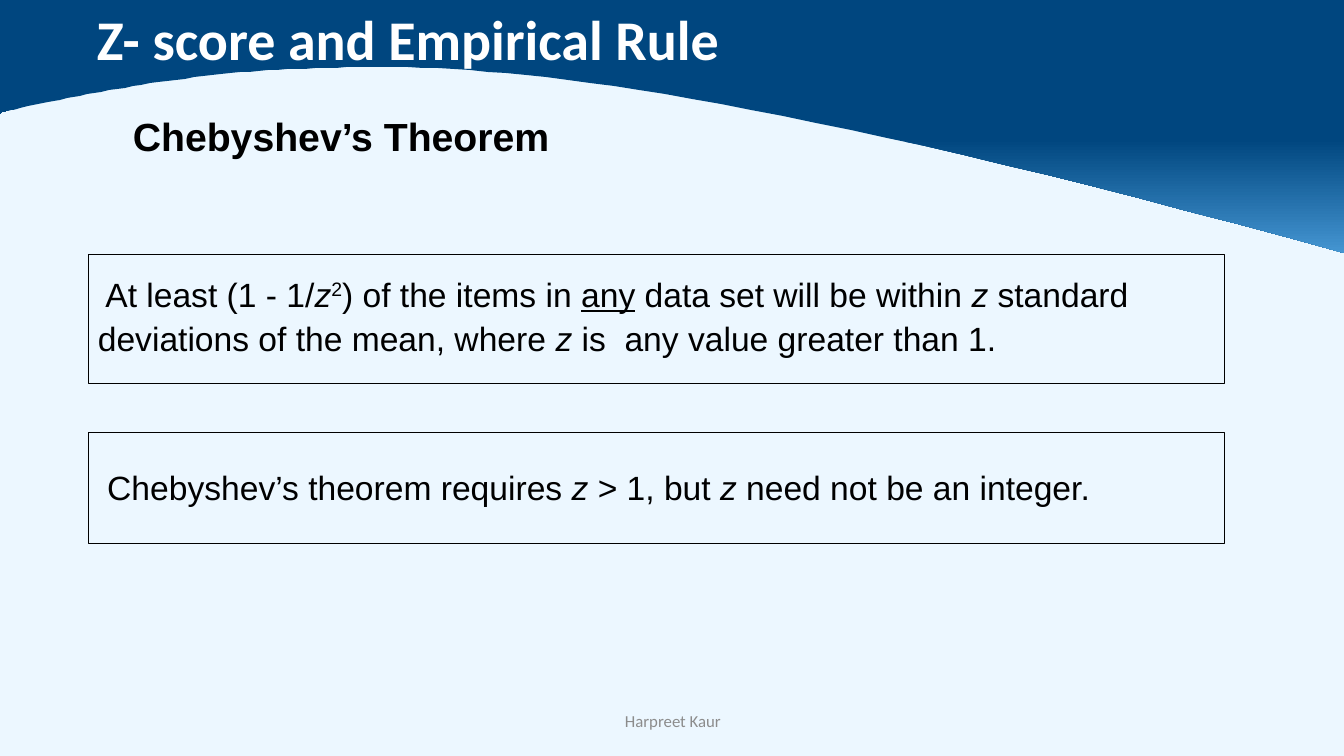
from pptx import Presentation
from pptx.dml.color import RGBColor
from pptx.enum.shapes import MSO_SHAPE
from pptx.enum.text import MSO_ANCHOR, PP_ALIGN
from pptx.util import Pt

RECT = MSO_SHAPE.RECTANGLE
TOP, MIDDLE = MSO_ANCHOR.TOP, MSO_ANCHOR.MIDDLE
LEFT, CENTER = PP_ALIGN.LEFT, PP_ALIGN.CENTER
PX = 12192000 / 1344
PALE, NAVY, SKY, BLACK = "ECF7FF", "00467F", "4495D1", "000000"


def color(code):
    return RGBColor.from_string(code)


def write(para, runs, face, size, code, bold=False):
    """Add (text, style) runs; style is i, u, sup or empty."""
    for text, style in runs:
        run = para.add_run()
        run.text = text
        font = run.font
        font.name, font.size, font.bold = face, Pt(size), bold
        font.color.rgb = color(code)
        if style == "i":
            font.italic = True
        elif style == "u":
            font.underline = True
        elif style == "sup":
            run._r.get_or_add_rPr().set("baseline", "30000")


prs = Presentation()
prs.slide_width, prs.slide_height = round(1344 * PX), round(756 * PX)
slide = prs.slides.add_slide(prs.slide_layouts[5])
shapes = slide.shapes
back = slide.background.fill
back.solid()
back.fore_color.rgb = color(PALE)

# Header wave: cubic curves turned into short segments
curves = [
    [(1344, 253), (607, 49), (420, 65), (296, 69)],
    [(296, 69), (171, 73), (39, 104), (8, 111)],
    [(8, 111), (1, 113), (4, 111), (0, 114)],
]
steps = 40
points = [(1344, 0), (1344, 253)]
for curve in curves:
    for n in range(1, steps + 1):
        t = n / steps
        parts = ((1 - t) ** 3, 3 * t * (1 - t) ** 2, 3 * t * t * (1 - t), t ** 3)
        points.append(tuple(sum(w * p[axis] for w, p in zip(parts, curve))
                            for axis in (0, 1)))
pen = shapes.build_freeform(0, 0, scale=PX)
pen.add_line_segments(points, close=True)
wave = pen.convert_to_shape()
wave.shadow.inherit = False
wave.line.fill.background()
wave.fill.gradient()
wave.fill.gradient_angle = 270
for stop, place, code in zip(wave.fill.gradient_stops, (0.55, 1), (NAVY, SKY)):
    stop.position = place
    stop.color.rgb = color(code)

# Title, moved in front of the wave
title = shapes.title
shapes._spTree.append(title._element)
title.left, title.top, title.width, title.height = [
    round(v * PX) for v in (24, 5, 903, 76)]
frame = title.text_frame
frame.word_wrap = True
frame.vertical_anchor = TOP
frame.margin_left, frame.margin_top = round(73 * PX), 0
para = frame.paragraphs[0]
para.alignment = LEFT
write(para, [("Z- score and Empirical Rule", "")], "Calibri", 40, "FFFFFF", True)

# Subtitle and footer
labels = [
    ("Chebyshev’s Theorem", (123, 113, 468, 72), "Arial", 28, BLACK, True, TOP, LEFT, 0.9),
    ("Harpreet Kaur", (446, 701, 454, 40), "Calibri", 12, "8C8C8C", False, MIDDLE, CENTER, 1.0),
]
for text, spot, face, size, code, bold, anchor, align, gap in labels:
    frame = shapes.add_textbox(*[round(v * PX) for v in spot]).text_frame
    frame.word_wrap = True
    frame.vertical_anchor = anchor
    para = frame.paragraphs[0]
    para.alignment, para.line_spacing = align, gap
    write(para, [(text, "")], face, size, code, bold)

# Framed statements
boxes = [
    (254, 129, 0.9, [
        [(" At least (1 - 1/", ""), ("z", "i"), ("2", "sup"),
         (") of the items in ", ""), ("any", "u"),
         (" data set will be within ", ""), ("z", "i"), (" standard", "")],
        [("deviations of the mean, where ", ""), ("z ", "i"),
         ("is  any value greater than 1.", "")],
    ]),
    (432, 111, 1.0, [
        [(" Chebyshev’s theorem requires ", ""), ("z", "i"),
         (" > 1, but ", ""), ("z", "i"), (" need not be an integer.", "")],
    ]),
]
for top, height, gap, lines in boxes:
    box = shapes.add_shape(RECT, *[round(v * PX) for v in (88, top, 1136, height)])
    box.shadow.inherit = False
    box.fill.solid()
    box.fill.fore_color.rgb = color(PALE)
    box.line.color.rgb = color(BLACK)
    box.line.width = Pt(0.5)
    frame = box.text_frame
    frame.word_wrap = True
    frame.vertical_anchor = MIDDLE
    for n, runs in enumerate(lines):
        para = frame.add_paragraph() if n else frame.paragraphs[0]
        para.alignment, para.line_spacing = LEFT, gap
        if n:
            para.space_before = Pt(6)
        write(para, runs, "Arial", 24, BLACK)

prs.save("out.pptx")
